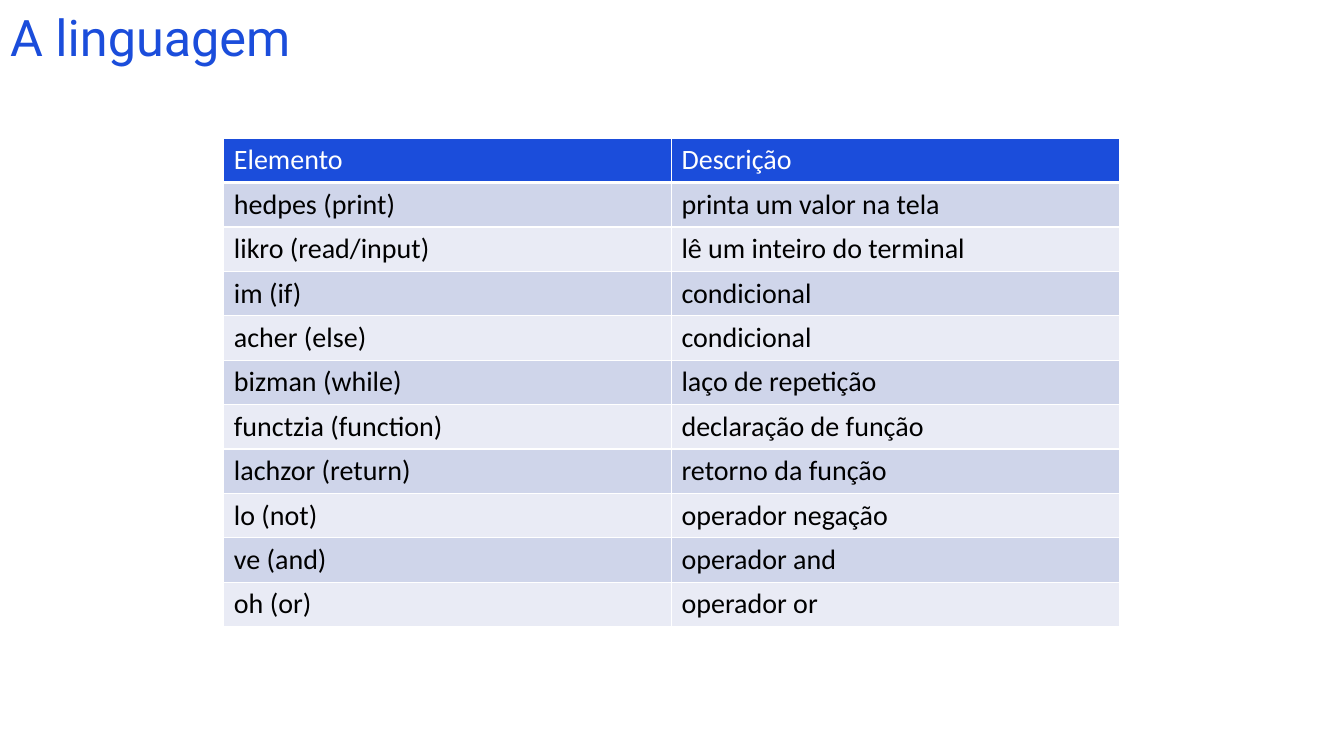
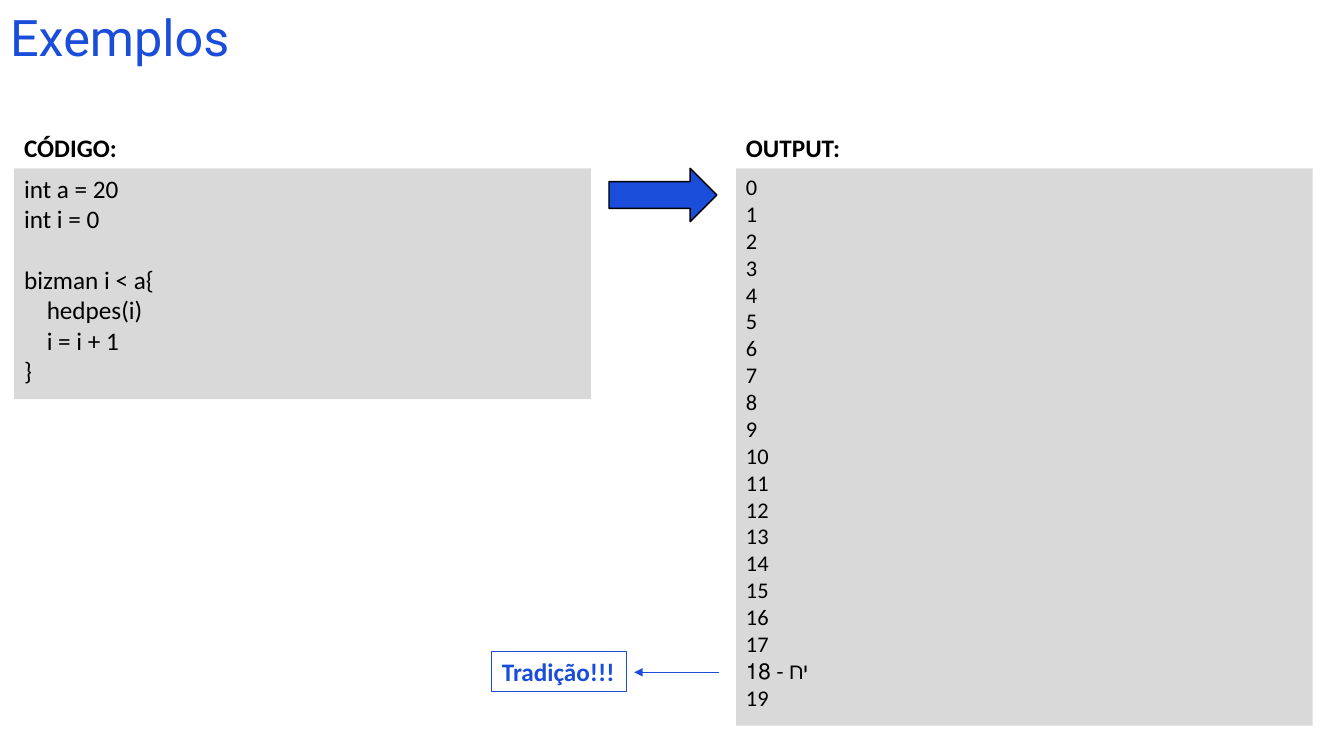
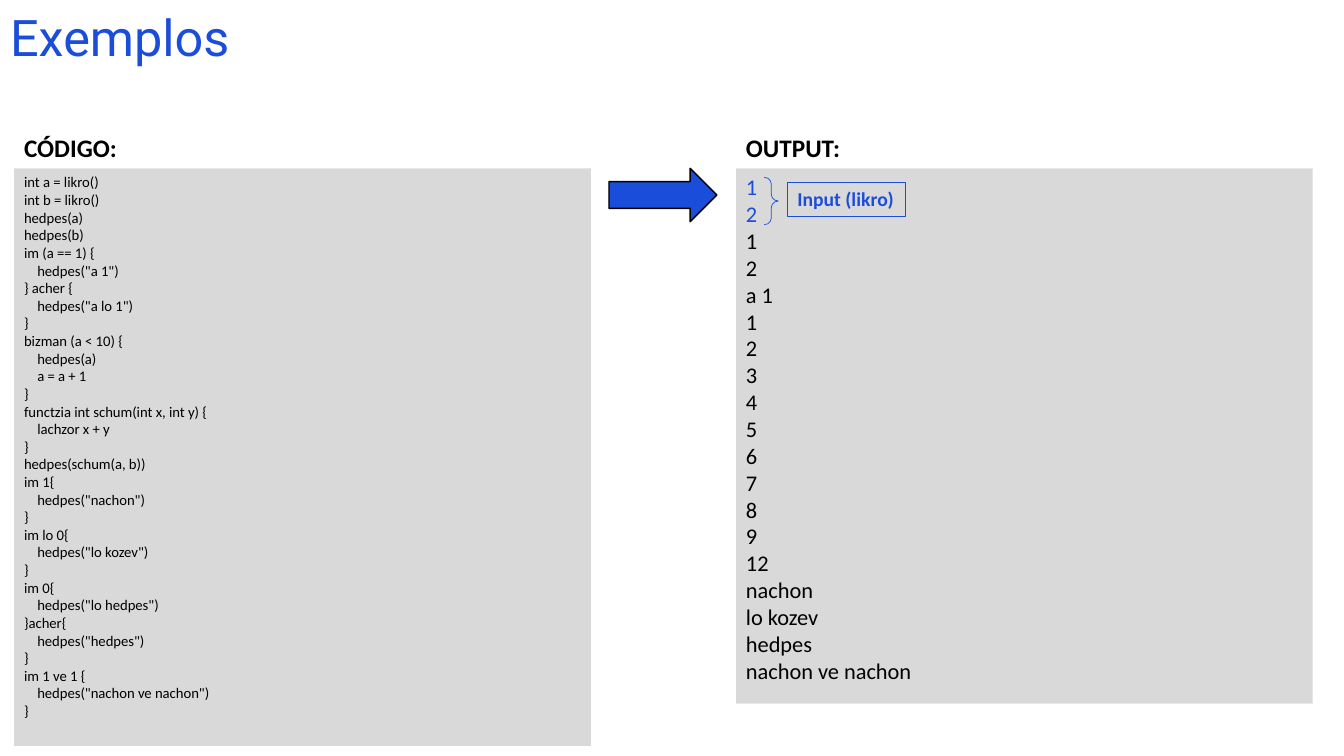
from dataclasses import dataclass
from typing import Optional

from lxml.etree import SubElement
from pptx import Presentation
from pptx.dml.color import RGBColor
from pptx.enum.shapes import MSO_CONNECTOR, MSO_SHAPE
from pptx.enum.text import MSO_ANCHOR, MSO_AUTO_SIZE, PP_ALIGN
from pptx.oxml.ns import qn
from pptx.util import Emu, Pt

BLUE = RGBColor(0x1B, 0x4D, 0xDB)
BLACK = RGBColor(0, 0, 0)
WHITE = RGBColor(0xFF, 0xFF, 0xFF)
PANEL_GREY = RGBColor(0xD9, 0xD9, 0xD9)
BAND_DARK = RGBColor(0xCF, 0xD5, 0xEA)
BAND_LIGHT = RGBColor(0xE9, 0xEB, 0xF5)

TITLE_FONT = "Roboto"
BODY_FONT = "Calibri"
EMU_PER_PX = 9144
TITLE_ONLY = 5
PANEL_TOP, PANEL_WIDTH = 167, 572
LABEL_TOP, LABEL_HEIGHT = 126, 40
LINE_HEIGHT = 1.22
INDENT_EM = 0.9

ELEMENTS = (
    ("Elemento", "Descrição"),
    ("hedpes (print)", "printa um valor na tela"),
    ("likro (read/input)", "lê um inteiro do terminal"),
    ("im (if)", "condicional"),
    ("acher (else)", "condicional"),
    ("bizman (while)", "laço de repetição"),
    ("functzia (function)", "declaração de função"),
    ("lachzor (return)", "retorno da função"),
    ("lo (not)", "operador negação"),
    ("ve (and)", "operador and"),
    ("oh (or)", "operador or"),
)

LOOP_CODE = ("int a = 20", "int i = 0", "", "bizman i < a{", "hedpes(i)", "i = i + 1", "}")
LOOP_OUTPUT = (*map(str, range(18)), "יח - 18", "19")

FULL_CODE = (
    "int a = likro()", "int b = likro()", "hedpes(a)", "hedpes(b)",
    "im (a == 1) {", 'hedpes("a 1")', "} acher {", 'hedpes("a lo 1")', "}",
    "bizman (a < 10) {", "hedpes(a)", "a = a + 1", "}",
    "functzia int schum(int x, int y) {", "lachzor x + y", "}",
    "hedpes(schum(a, b))",
    "im 1{", 'hedpes("nachon")', "}",
    "im lo 0{", 'hedpes("lo kozev")', "}",
    "im 0{", 'hedpes("lo hedpes")', "}acher{", 'hedpes("hedpes")', "}",
    "im 1 ve 1 {", 'hedpes("nachon ve nachon")', "}",
)
FULL_OUTPUT = (
    "1", "2", "1", "2", "a 1", *map(str, range(1, 10)), "12",
    "nachon", "lo kozev", "hedpes", "nachon ve nachon",
)


@dataclass(frozen=True)
class Box:
    left: int
    top: int
    width: int
    height: int

    def emu(self) -> tuple:
        return tuple(px(n) for n in (self.left, self.top, self.width, self.height))


@dataclass(frozen=True)
class Panel:
    label: str
    left: int
    height: int
    size: float
    lines: tuple
    blue_lines: int = 0


def px(n: int) -> Emu:
    return Emu(n * EMU_PER_PX)


def style(p, size: float, color: RGBColor, bold: bool = False, font: str = BODY_FONT) -> None:
    p.alignment = PP_ALIGN.LEFT
    p.font.name = font
    p.font.size = Pt(size)
    p.font.bold = bold
    p.font.color.rgb = color


def add_slide(prs, title: str):
    s = prs.slides.add_slide(prs.slide_layouts[TITLE_ONLY])
    sp = s.shapes.title
    sp.left, sp.top, sp.width, sp.height = Box(0, 0, 468, 79).emu()
    tf = sp.text_frame
    tf.text = title
    tf.auto_size = MSO_AUTO_SIZE.NONE
    tf.vertical_anchor = MSO_ANCHOR.MIDDLE
    p = tf.paragraphs[0]
    p.line_spacing = 0.9
    style(p, 36, BLUE, font=TITLE_FONT)
    return s


def add_shape(s, kind: MSO_SHAPE, box: Box, fill: Optional[RGBColor] = None,
              line: Optional[RGBColor] = None, weight: float = 1):
    sp = s.shapes.add_shape(kind, *box.emu())
    sp.shadow.inherit = False
    if fill is None:
        sp.fill.background()
    else:
        sp.fill.solid()
        sp.fill.fore_color.rgb = fill
    if line is None:
        sp.line.fill.background()
    else:
        sp.line.color.rgb = line
        sp.line.width = Pt(weight)
    return sp


def write_label(sp, text: str, size: float, color: RGBColor) -> None:
    tf = sp.text_frame
    tf.text = text
    tf.word_wrap = False
    tf.vertical_anchor = MSO_ANCHOR.TOP
    style(tf.paragraphs[0], size, color, bold=True)


def add_callout(s, box: Box, text: str, size: float) -> None:
    write_label(add_shape(s, MSO_SHAPE.RECTANGLE, box, line=BLUE, weight=0.75), text, size, BLUE)


def write_lines(tf, panel: Panel) -> None:
    tf.word_wrap = True
    tf.vertical_anchor = MSO_ANCHOR.TOP
    p = tf.paragraphs[0]
    level, gap = 0, False
    for i, text in enumerate(panel.lines):
        if not text:
            gap = True
            continue
        if i:
            p = tf.add_paragraph()
        p.text = text
        style(p, panel.size, BLUE if i < panel.blue_lines else BLACK)
        if gap:
            p.space_before = Pt(panel.size * LINE_HEIGHT)
            gap = False
        level -= text.startswith("}")
        if level:
            p._p.get_or_add_pPr().set("marL", str(int(Pt(panel.size * INDENT_EM * level))))
        level += text.endswith("{")


def add_panel(s, panel: Panel) -> None:
    box = Box(panel.left, PANEL_TOP, PANEL_WIDTH, panel.height)
    write_lines(add_shape(s, MSO_SHAPE.RECTANGLE, box, PANEL_GREY).text_frame, panel)
    label = s.shapes.add_textbox(*Box(panel.left, LABEL_TOP, 114, LABEL_HEIGHT).emu())
    write_label(label, panel.label, 18, BLACK)


def add_example(prs, code: Panel, output: Panel):
    s = add_slide(prs, "Exemplos")
    add_panel(s, code)
    add_shape(s, MSO_SHAPE.RIGHT_ARROW, Box(604, PANEL_TOP, 107, 53), BLUE, BLACK)
    add_panel(s, output)
    return s


def add_arrow(s, x1: int, x2: int, y: int) -> None:
    c = s.shapes.add_connector(MSO_CONNECTOR.STRAIGHT, px(x1), px(y), px(x2), px(y))
    c.line.color.rgb = BLUE
    c.line.width = Pt(0.5)
    SubElement(c.line._get_or_add_ln(), qn("a:tailEnd"), type="triangle")
    SubElement(c._element.spPr, qn("a:effectLst"))


def set_borders(cell, top: float, bottom: float) -> None:
    tc_pr = cell._tc.get_or_add_tcPr()
    for side, weight in (("L", 1), ("R", 1), ("T", top), ("B", bottom)):
        ln = SubElement(tc_pr, qn(f"a:ln{side}"), w=str(int(Pt(weight))))
        fill = SubElement(ln, qn("a:solidFill"))
        SubElement(fill, qn("a:srgbClr"), val=str(WHITE))


def add_elements_table(s) -> None:
    row_height, column_width = 41, 444
    box = Box(222, 137, 2 * column_width, row_height * len(ELEMENTS))
    table = s.shapes.add_table(len(ELEMENTS), 2, *box.emu()).table
    for r, row in enumerate(ELEMENTS):
        fill = BLUE if r == 0 else BAND_DARK if r % 2 else BAND_LIGHT
        for c, text in enumerate(row):
            cell = table.cell(r, c)
            cell.text = text
            style(cell.text_frame.paragraphs[0], 20, BLACK if r else WHITE)
            set_borders(cell, 3 if r == 1 else 1, 3 if r == 0 else 1)
            cell.fill.solid()
            cell.fill.fore_color.rgb = fill


def main() -> None:
    prs = Presentation()
    prs.slide_width, prs.slide_height = px(1333), px(750)

    add_elements_table(add_slide(prs, "A linguagem"))

    s = add_example(prs, Panel("CÓDIGO:", 14, 229, 18, LOOP_CODE),
                    Panel("OUTPUT:", 730, 553, 16, LOOP_OUTPUT))
    add_arrow(s, 713, 629, 667)
    add_callout(s, Box(488, 646, 133, 40), "Tradição!!!", 18)

    s = add_example(prs, Panel("CÓDIGO:", 14, 573, 10.5, FULL_CODE),
                    Panel("OUTPUT:", 730, 531, 16, FULL_OUTPUT, blue_lines=2))
    brace = add_shape(s, MSO_SHAPE.RIGHT_BRACE, Box(758, 176, 14, 47), line=BLUE, weight=0.5)
    brace.adjustments[0] = 0.47
    add_callout(s, Box(781, 181, 117, 34), "Input (likro)", 14)

    prs.save("out.pptx")


if __name__ == "__main__":
    main()
